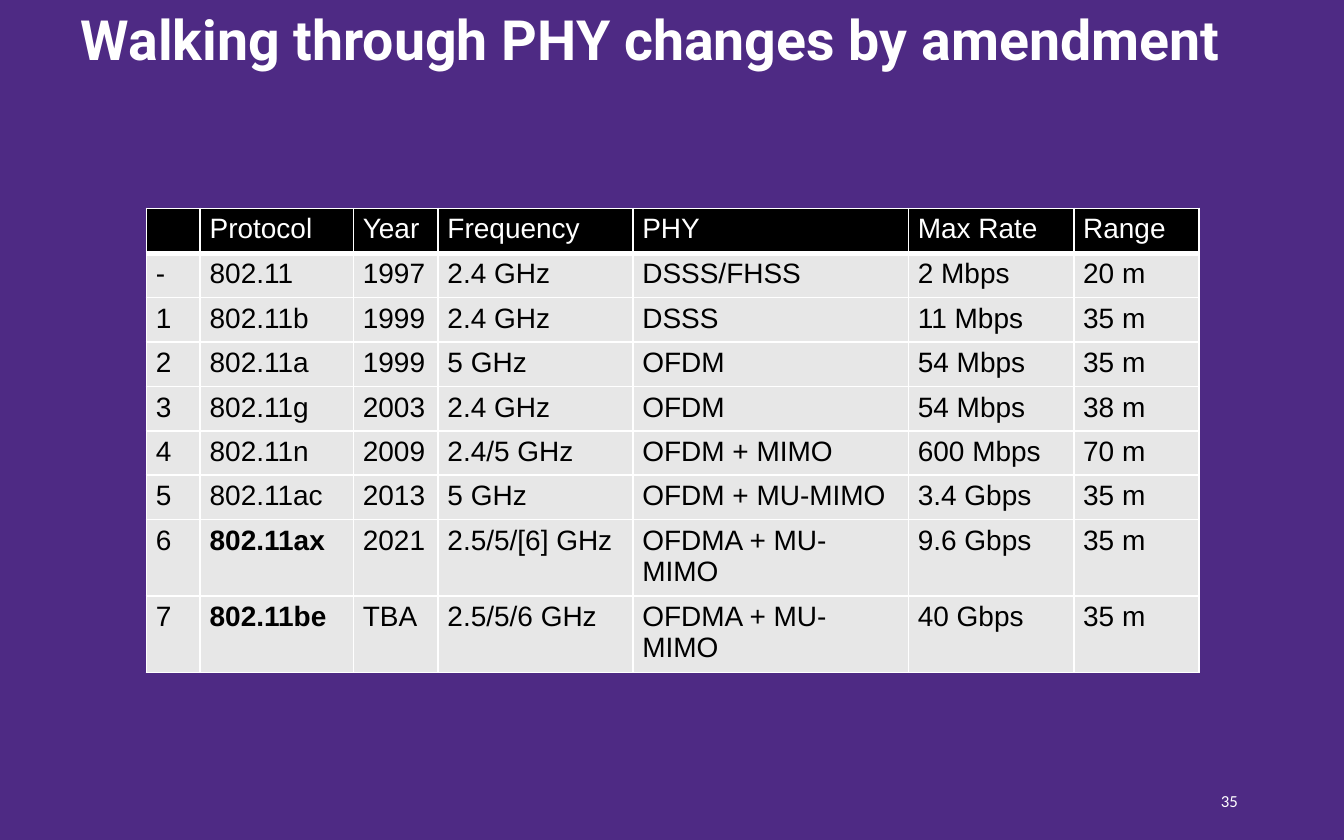
from lxml import etree
from pptx import Presentation, util as u
from pptx.dml.color import RGBColor
from pptx.enum import text
from pptx.oxml.ns import qn

WIDTH, HEIGHT = 10, 6.25
COLORS = {"purple": "4E2A84", "white": "FFFFFF", "black": "000000", "gray": "E7E7E7"}
COLUMN_WIDTHS = [0.4, 1.14, 0.63, 1.45, 2.05, 1.23, 0.93]
ROW_HEIGHTS = [0.33] * 7 + [0.57] * 2
AMENDMENTS = [
    ["", "Protocol", "Year", "Frequency", "PHY", "Max Rate", "Range"],
    ["-", "802.11", "1997", "2.4 GHz", "DSSS/FHSS", "2 Mbps", "20 m"],
    ["1", "802.11b", "1999", "2.4 GHz", "DSSS", "11 Mbps", "35 m"],
    ["2", "802.11a", "1999", "5 GHz", "OFDM", "54 Mbps", "35 m"],
    ["3", "802.11g", "2003", "2.4 GHz", "OFDM", "54 Mbps", "38 m"],
    ["4", "802.11n", "2009", "2.4/5 GHz", "OFDM + MIMO", "600 Mbps", "70 m"],
    ["5", "802.11ac", "2013", "5 GHz", "OFDM + MU-MIMO", "3.4 Gbps", "35 m"],
    ["6", "802.11ax", "2021", "2.5/5/[6] GHz", "OFDMA + MU-MIMO", "9.6 Gbps", "35 m"],
    ["7", "802.11be", "TBA", "2.5/5/6 GHz", "OFDMA + MU-MIMO", "40 Gbps", "35 m"],
]
BOLD_PROTOCOLS = {"802.11ax", "802.11be"}


class SlideBuilder:
    def __init__(self, presentation):
        self.presentation = presentation
        self.slide = presentation.slides.add_slide(presentation.slide_layouts[5])
        self.color_fill(self.slide.background.fill, "purple")

    def color_fill(self, fill, color):
        fill.solid()
        fill.fore_color.rgb = RGBColor.from_string(COLORS[color])

    def box(self, left, top, width, height):
        slide_width = self.presentation.slide_width
        slide_height = self.presentation.slide_height
        return (round(left * slide_width), round(top * slide_height),
                round(width * slide_width), round(height * slide_height))

    def format_font(self, font, name, size, color, bold=False):
        font.name, font.size, font.bold = name, u.Pt(size), bold
        font.color.rgb = RGBColor.from_string(COLORS[color])

    def set_words(self, shape, words, alignment, name, size, bold=False):
        frame = shape.text_frame
        frame.text = words
        frame.word_wrap = True
        frame.auto_size = text.MSO_AUTO_SIZE.NONE
        frame.vertical_anchor = text.MSO_ANCHOR.MIDDLE
        paragraph = frame.paragraphs[0]
        paragraph.alignment = alignment
        self.format_font(paragraph.runs[0].font, name, size, "white", bold)
        return paragraph

    def title(self, words, *shares):
        shape = self.slide.shapes.title
        shape.left, shape.top, shape.width, shape.height = self.box(*shares)
        paragraph = self.set_words(shape, words, text.PP_ALIGN.LEFT, "Roboto", 29.7, True)
        paragraph.line_spacing = 0.9

    def page_number(self, number, *shares):
        shape = self.slide.shapes.add_textbox(*self.box(*shares))
        self.set_words(shape, number, text.PP_ALIGN.RIGHT, "Calibri", 9)

    def borders(self, cell, bottom):
        properties = cell._tc.get_or_add_tcPr()
        for side, points in (("L", 1), ("R", 1), ("T", 1), ("B", bottom)):
            line = etree.SubElement(properties, qn(f"a:ln{side}"), w=str(u.Pt(points)))
            fill = etree.SubElement(line, qn("a:solidFill"))
            etree.SubElement(fill, qn("a:srgbClr"), val=COLORS["white"])

    def table_cell(self, cell, words, header):
        self.borders(cell, 3 if header else 1)
        self.color_fill(cell.fill, "black" if header else "gray")
        cell.margin_left = cell.margin_right = u.Inches(0.07)
        cell.margin_top = cell.margin_bottom = u.Inches(0.04)
        paragraph = cell.text_frame.paragraphs[0]
        if not words:
            paragraph._p.get_or_add_endParaRPr().set("sz", "1500")
            return
        paragraph.text = words
        self.format_font(paragraph.runs[0].font, "Arial", 15,
                         "white" if header else "black", words in BOLD_PROTOCOLS)

    def table(self, rows, widths, heights, *shares):
        shape = self.slide.shapes.add_table(len(rows), len(widths), *self.box(*shares))
        table = shape.table
        for column, width in zip(table.columns, widths):
            column.width = u.Inches(width)
        for row, height in zip(table.rows, heights):
            row.height = u.Inches(height)
        for row_index, row in enumerate(rows):
            for column_index, words in enumerate(row):
                self.table_cell(table.cell(row_index, column_index), words, row_index == 0)


def main():
    presentation = Presentation()
    presentation.slide_width = u.Inches(WIDTH)
    presentation.slide_height = u.Inches(HEIGHT)
    builder = SlideBuilder(presentation)
    builder.page_number("35", 7.06 / WIDTH, 5.79 / HEIGHT, 2.25 / WIDTH, 0.33 / HEIGHT)
    builder.title("Walking through PHY changes by amendment",
                  0.05, 0.01 / HEIGHT, 0.9, 0.62 / HEIGHT)
    builder.table(AMENDMENTS, COLUMN_WIDTHS, ROW_HEIGHTS, 1.09 / WIDTH, 1.55 / HEIGHT,
                  sum(COLUMN_WIDTHS) / WIDTH, sum(ROW_HEIGHTS) / HEIGHT)
    presentation.save("out.pptx")


if __name__ == "__main__":
    main()
